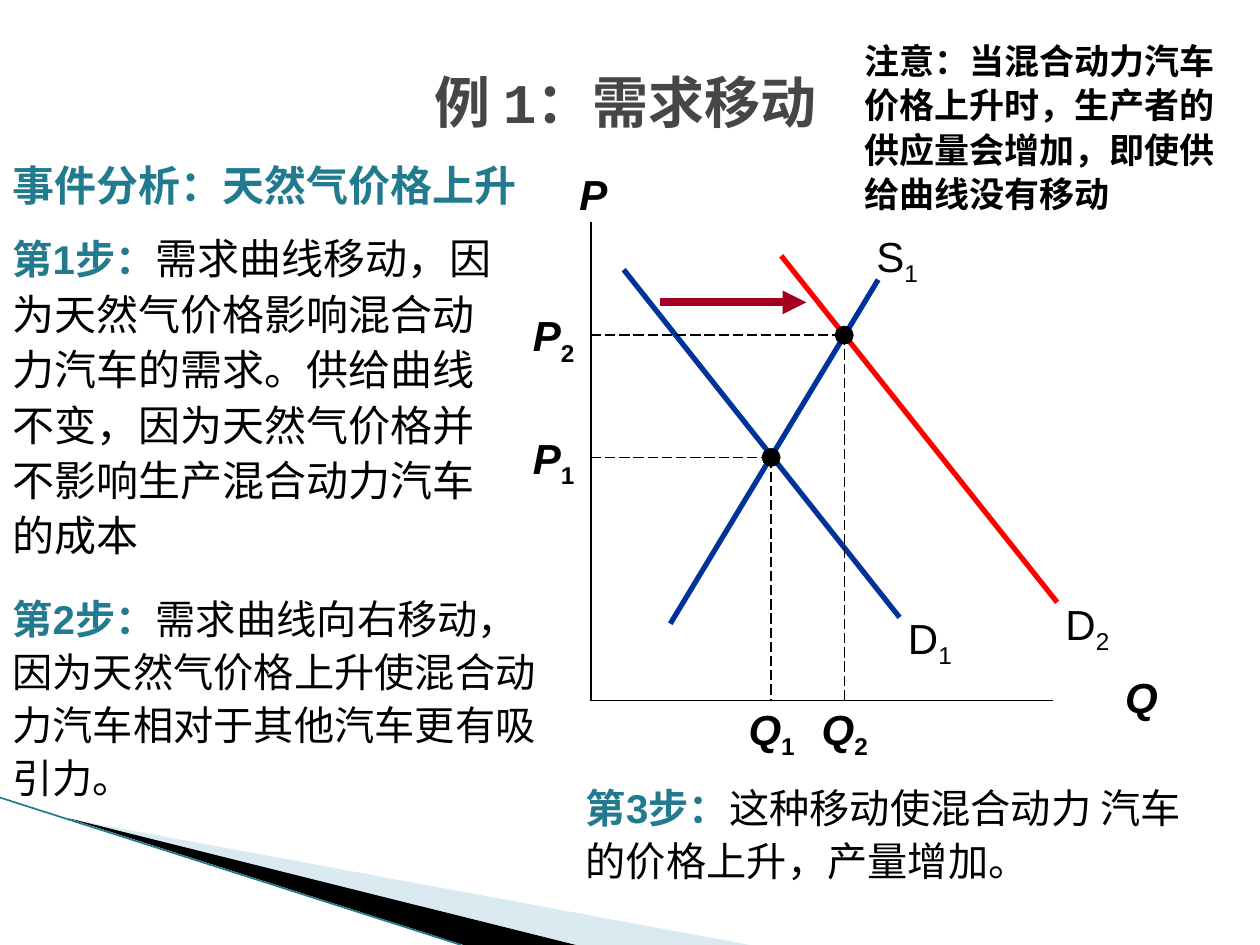
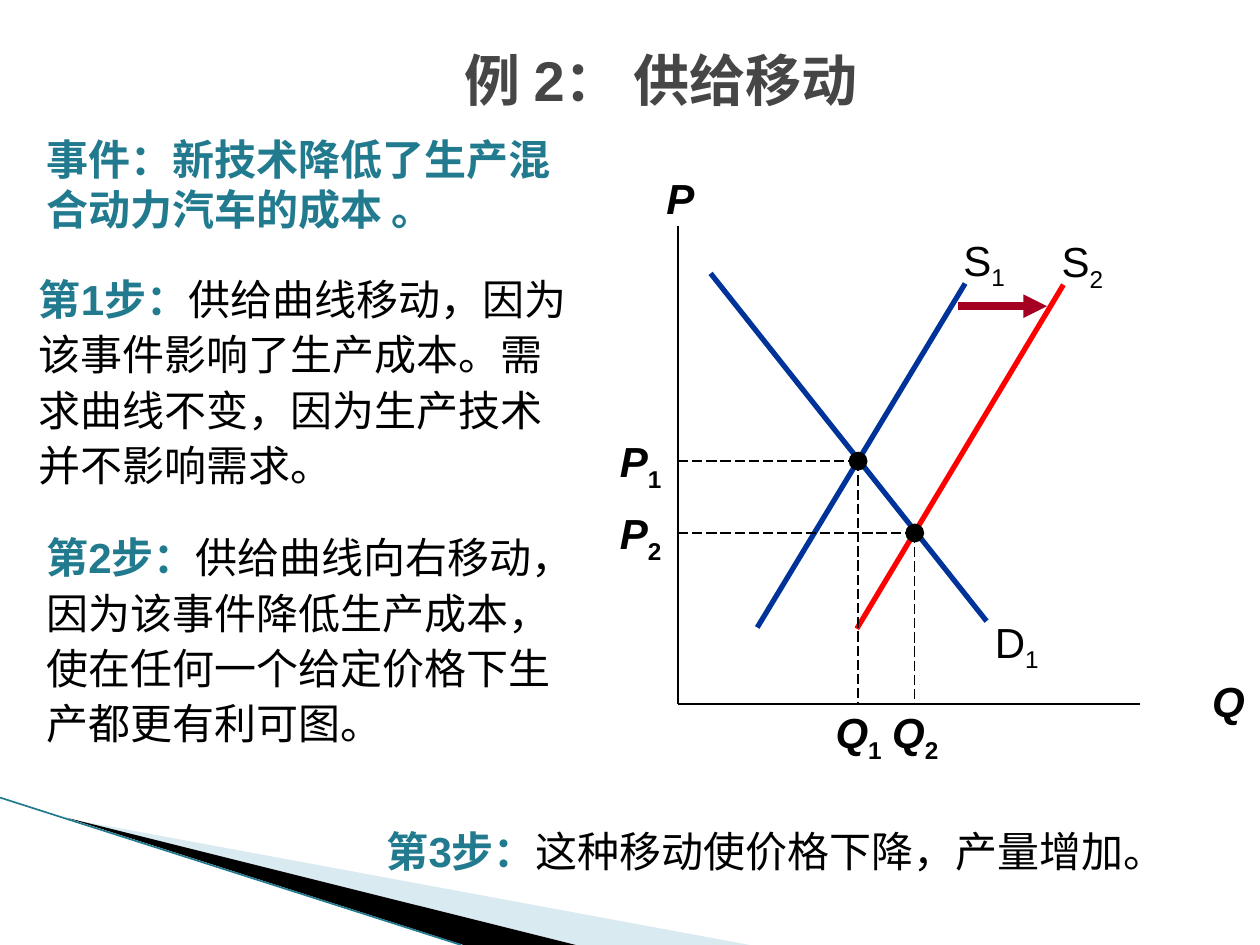
from typing import NamedTuple

from lxml.etree import SubElement
from pptx import Presentation
from pptx.dml.color import RGBColor
from pptx.enum.dml import MSO_LINE
from pptx.enum.shapes import MSO_CONNECTOR, MSO_SHAPE
from pptx.enum.text import MSO_ANCHOR, PP_ALIGN
from pptx.oxml.ns import qn
from pptx.util import Emu, Pt

# Shared scale, colours and fonts
PX = 9144  # 100 px to the inch
BLACK, GREY, TEAL, PALE = "000000", "464646", "227A8F", "A0CBDC"
BLUE, RED, CRIMSON = "003399", "FF0000", "A50021"
SANS, MONO, HAN = "Arial", "Courier New", "Noto Sans CJK SC"


class Span(NamedTuple):
    text: str
    size: int = 24
    color: str = BLACK
    bold: bool = False
    italic: bool = False
    font: str = SANS
    subscript: bool = False


class Box(NamedTuple):
    left: int
    top: int
    width: int
    height: int


class Block(NamedTuple):
    box: Box
    spans: list[Span]
    line_spacing: float = 1.0
    inset_top: int = 5


class Point(NamedTuple):
    x: int
    y: int


class Curve(NamedTuple):
    """A market curve; points are measured from the chart origin."""
    letter: str
    index: str
    start: Point
    end: Point
    label: Point
    color: str = BLUE


class Equilibrium(NamedTuple):
    index: str
    point: Point


class Example(NamedTuple):
    title_box: Box
    title: list[Span]
    blocks: list[Block]
    origin: Point
    shifted: Curve
    new_equilibrium: Equilibrium
    arrow_start: Point
    arrow_end: Point


def rgb(color: str) -> RGBColor:
    return RGBColor.from_string(color)


def px(length: int) -> Emu:
    return Emu(length * PX)


def add_text(slide, box: Box, spans: list[Span], align=PP_ALIGN.LEFT,
             anchor=MSO_ANCHOR.TOP, line_spacing: float = 1.0,
             inset_side: int = 10, inset_top: int = 5, inset_bottom: int = 5) -> None:
    frame = slide.shapes.add_textbox(*map(px, box)).text_frame
    frame.word_wrap = True
    frame.vertical_anchor = anchor
    frame.margin_left = frame.margin_right = px(inset_side)
    frame.margin_top, frame.margin_bottom = px(inset_top), px(inset_bottom)
    para = frame.paragraphs[0]
    para.alignment = align
    para.line_spacing = line_spacing
    for span in spans:
        run = para.add_run()
        run.text = span.text
        font = run.font
        font.size, font.bold, font.italic = Pt(span.size), span.bold, span.italic
        font.color.rgb = rgb(span.color)
        font.name = span.font
        properties = run._r.get_or_add_rPr()
        SubElement(properties, qn("a:ea")).set("typeface", HAN)
        if span.subscript:
            properties.set("baseline", "-25000")


def add_line(slide, start: Point, end: Point, color: str, width: float,
             dashed: bool = False, arrow: bool = False) -> None:
    connector = slide.shapes.add_connector(
        MSO_CONNECTOR.STRAIGHT, *map(px, (*start, *end)))
    connector.line.color.rgb = rgb(color)
    connector.line.width = Pt(width)
    if dashed:
        connector.line.dash_style = MSO_LINE.LONG_DASH
    properties = connector._element.spPr
    if arrow:
        SubElement(properties.find(qn("a:ln")), qn("a:tailEnd")).set("type", "triangle")
    SubElement(properties, qn("a:effectLst"))


def add_wedge(slide, points: list[Point], color: str, opacity: int = 100) -> None:
    builder = slide.shapes.build_freeform(*points[0], scale=PX)
    builder.add_line_segments(points[1:], close=True)
    wedge = builder.convert_to_shape()
    wedge.shadow.inherit = False
    wedge.fill.solid()
    wedge.fill.fore_color.rgb = rgb(color)
    wedge.line.fill.background()
    if opacity < 100:
        color_node = wedge._element.spPr.find(qn("a:solidFill"))[0]
        SubElement(color_node, qn("a:alpha")).set("val", str(opacity * 1000))


def add_corner_band(slide) -> None:
    add_wedge(slide, [Point(55, 650), Point(595, 750), Point(456, 750)], PALE, 40)
    add_wedge(slide, [Point(53, 649), Point(457, 750), Point(368, 750)], BLACK)
    add_line(slide, Point(0, 633), Point(366, 750), TEAL, 0.95)


# Market diagram, drawn relative to its origin
DEMAND = Curve("D", "1", Point(26, -342), Point(245, -66), Point(238, -75))
SUPPLY = Curve("S", "1", Point(63, -61), Point(228, -334), Point(212, -378))
OLD_EQUILIBRIUM = Equilibrium("1", Point(143, -193))
DOT = 15


def moved(origin: Point, offset: Point) -> Point:
    return Point(origin.x + offset.x, origin.y + offset.y)


def add_axes(slide, origin: Point) -> None:
    add_line(slide, moved(origin, Point(0, -380)), origin, BLACK, 1)
    add_line(slide, origin, moved(origin, Point(367, 0)), BLACK, 1)
    for letter, offset, width in (("P", Point(-21, -427), 46), ("Q", Point(412, -28), 50)):
        add_text(slide, Box(*moved(origin, offset), width, 50),
                 [Span(letter, bold=True, italic=True)], PP_ALIGN.CENTER)


def add_curve(slide, origin: Point, curve: Curve) -> None:
    add_line(slide, moved(origin, curve.start), moved(origin, curve.end), curve.color, 3)
    add_text(slide, Box(*moved(origin, curve.label), 62, 50),
             [Span(curve.letter), Span(curve.index, subscript=True)], PP_ALIGN.CENTER)


def add_equilibrium(slide, origin: Point, equilibrium: Equilibrium) -> None:
    center = moved(origin, equilibrium.point)
    add_line(slide, Point(origin.x, center.y), center, BLACK, 0.75, dashed=True)
    add_line(slide, center, Point(center.x, origin.y), BLACK, 0.75, dashed=True)
    dot = slide.shapes.add_shape(
        MSO_SHAPE.OVAL, px(center.x) - px(DOT) // 2, px(center.y) - px(DOT) // 2,
        px(DOT), px(DOT))
    dot.shadow.inherit = False
    dot.fill.solid()
    dot.fill.fore_color.rgb = rgb(BLACK)
    dot.line.fill.background()
    labels = (("P", Point(origin.x - 56, center.y - 20)),
              ("Q", Point(center.x - 26, origin.y + 2)))
    for letter, corner in labels:
        add_text(slide, Box(*corner, 53, 40),
                 [Span(letter, bold=True, italic=True),
                  Span(equilibrium.index, bold=True, subscript=True)],
                 PP_ALIGN.CENTER, inset_side=0, inset_top=0, inset_bottom=0)


# Slide content
def title_span(text: str, font: str = MONO) -> Span:
    return Span(text, 32, GREY, bold=True, font=font)


def event(box: Box, text: str) -> Block:
    return Block(box, [Span(text, color=TEAL, bold=True, font=MONO)])


def step(number: int, box: Box, text: str, label_size: int = 24,
         text_size: int = 24, inset_top: int = 15) -> Block:
    label = Span(f"第{number}步：", label_size, TEAL, bold=True)
    return Block(box, [label, Span(text, text_size)], 1.1, inset_top)


EXAMPLES = [
    Example(
        Box(40, 34, 913, 92), [title_span("例 1：需求移动")],
        [
            event(Box(0, 122, 448, 54), "事件分析：天然气价格上升"),
            step(1, Box(0, 176, 418, 273),
                 "需求曲线移动，因为天然气价格影响混合动力汽车的需求。"
                 "供给曲线不变，因为天然气价格并不影响生产混合动力汽车的成本",
                 label_size=23, inset_top=5),
            step(2, Box(0, 453, 453, 218),
                 "需求曲线向右移动，因为天然气价格上升使混合动力汽车"
                 "相对于其他汽车更有吸引力。", label_size=23, text_size=23),
            step(3, Box(455, 603, 519, 113),
                 "这种移动使混合动力 汽车的价格上升，产量增加。",
                 label_size=23, text_size=23),
            Block(Box(676, 25, 324, 152),
                  [Span("注意：当混合动力汽车价格上升时，生产者的供应量会增加，"
                        "即使供给曲线没有移动", 20, bold=True, font=HAN)], 1.05),
        ],
        Point(469, 556),
        Curve("D", "2", Point(151, -353), Point(370, -78), Point(363, -86), RED),
        Equilibrium("2", Point(201, -290)),
        Point(55, -316), Point(171, -316),
    ),
    Example(
        Box(68, 21, 914, 84),
        [title_span("例 "), title_span("2", SANS), title_span("： 供给移动")],
        [
            event(Box(27, 101, 452, 91), "事件：新技术降低了生产混合动力汽车的成本 。"),
            step(1, Box(21, 208, 441, 188),
                 "供给曲线移动，因为该事件影响了生产成本。"
                 "需求曲线不变，因为生产技术并不影响需求。", inset_top=5),
            step(2, Box(27, 403, 448, 223),
                 "供给曲线向右移动，因为该事件降低生产成本，"
                 "使在任何一个给定价格下生产都更有利可图。"),
            step(3, Box(297, 636, 677, 78), "这种移动使价格下降，产量增加。"),
        ],
        Point(538, 559),
        Curve("S", "2", Point(142, -60), Point(306, -333), Point(290, -377), RED),
        Equilibrium("2", Point(188, -136)),
        Point(222, -316), Point(293, -316),
    ),
]


def add_example(deck, example: Example) -> None:
    slide = deck.slides.add_slide(deck.slide_layouts[6])
    add_corner_band(slide)
    add_text(slide, example.title_box, example.title, PP_ALIGN.CENTER, MSO_ANCHOR.MIDDLE)
    for block in example.blocks:
        add_text(slide, block.box, block.spans, line_spacing=block.line_spacing,
                 inset_top=block.inset_top)
    origin = example.origin
    add_axes(slide, origin)
    for curve in (DEMAND, SUPPLY, example.shifted):
        add_curve(slide, origin, curve)
    add_line(slide, moved(origin, example.arrow_start), moved(origin, example.arrow_end),
             CRIMSON, 4.5, arrow=True)
    for equilibrium in (OLD_EQUILIBRIUM, example.new_equilibrium):
        add_equilibrium(slide, origin, equilibrium)


def main() -> None:
    deck = Presentation()
    deck.slide_width, deck.slide_height = px(1000), px(750)
    for example in EXAMPLES:
        add_example(deck, example)
    deck.save("out.pptx")


if __name__ == "__main__":
    main()
